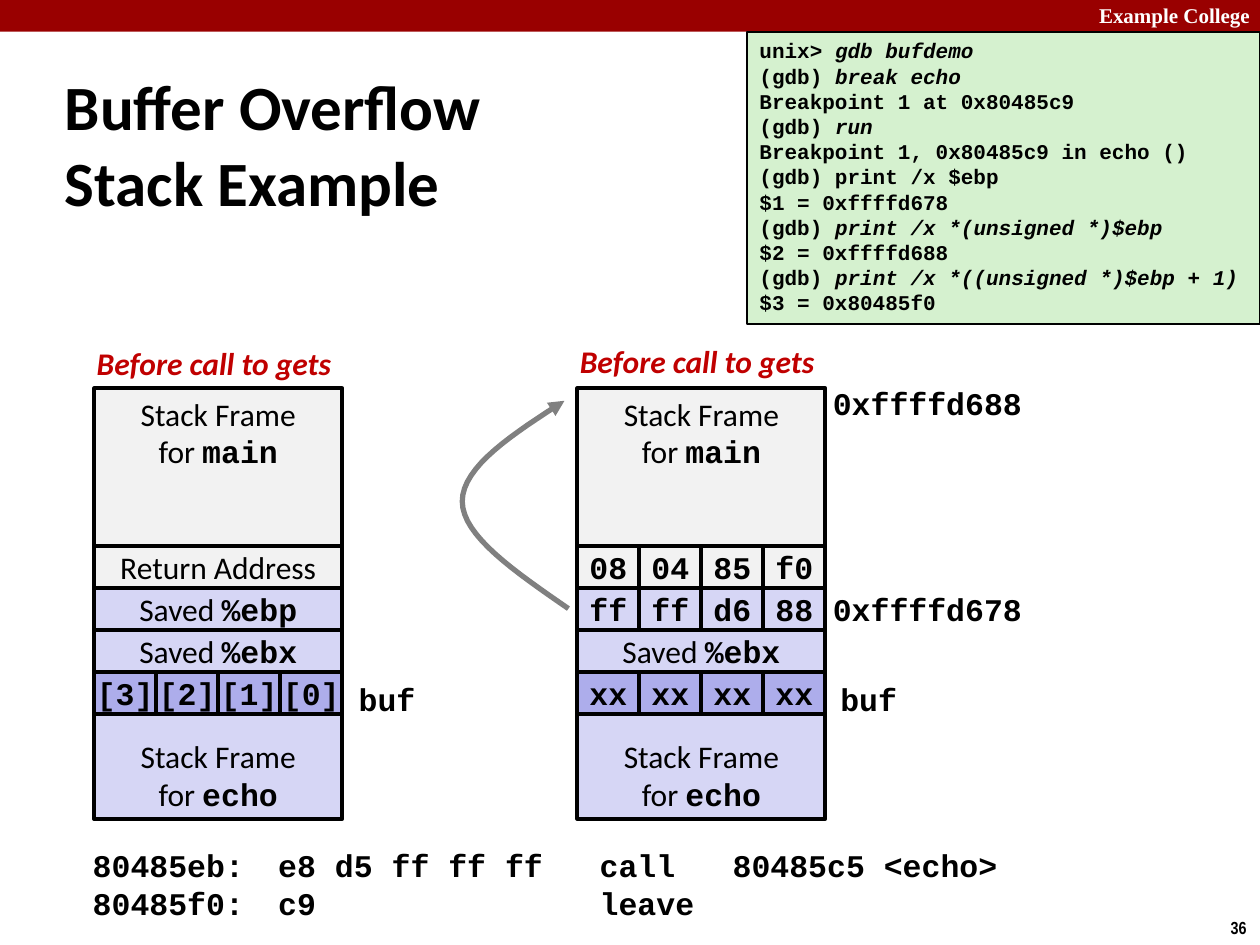
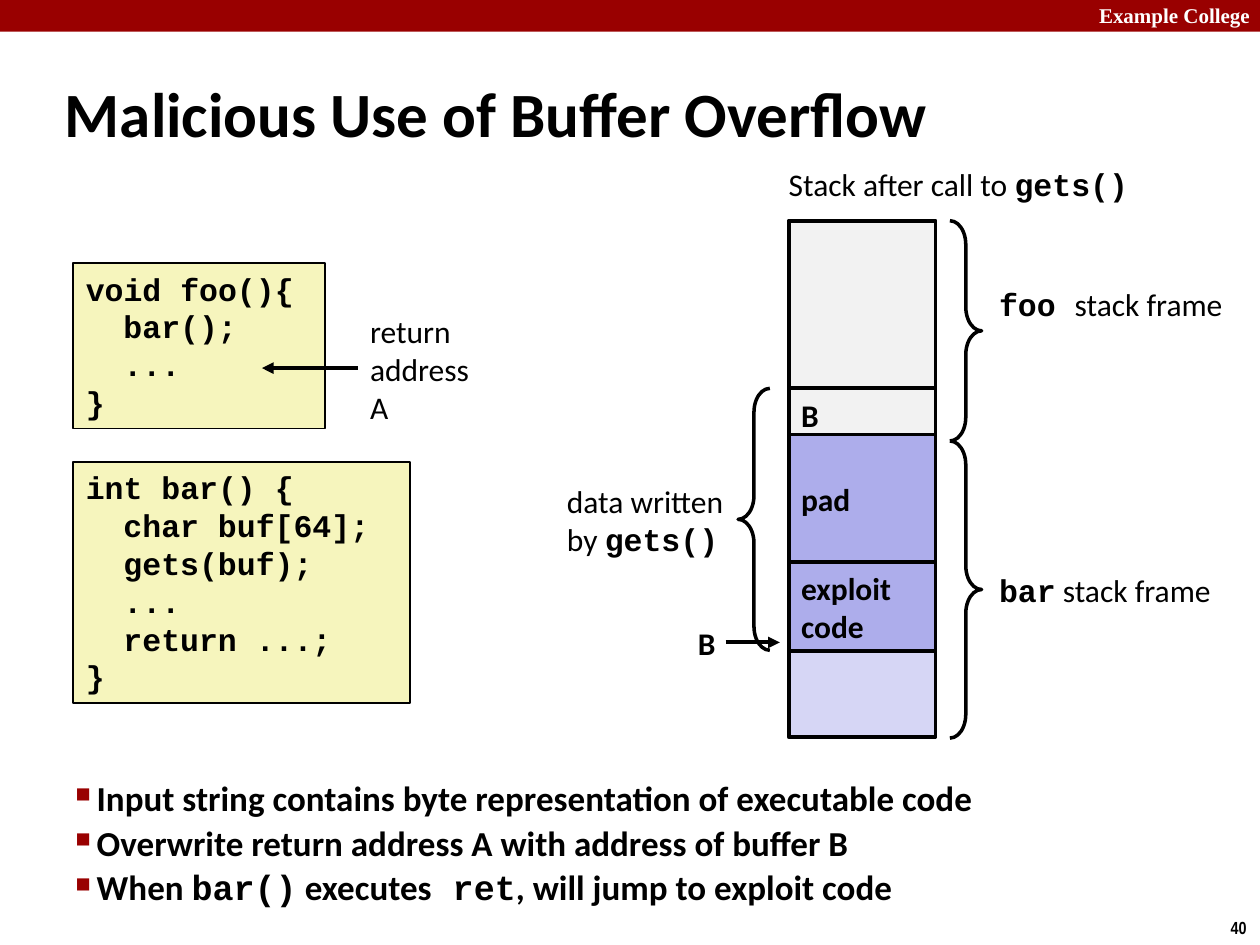
from lxml import etree
from pptx import Presentation
from pptx import util as u
from pptx.dml.color import RGBColor
from pptx.enum import shapes, text
from pptx.oxml import ns

# Shared colours and text styles (font, bold, italic)
RED = RGBColor(0x99, 0x00, 0x00)
LABEL_RED = RGBColor(0xC0, 0x00, 0x00)
WHITE = RGBColor(0xFF, 0xFF, 0xFF)
BLACK = RGBColor(0x00, 0x00, 0x00)
ARROW_GRAY = RGBColor(0x80, 0x80, 0x80)
LIGHT_GRAY = RGBColor(0xF2, 0xF2, 0xF2)
LAVENDER = RGBColor(0xD6, 0xD6, 0xF5)
VIOLET = RGBColor(0xAD, 0xAD, 0xEB)
GREEN = RGBColor(0xD5, 0xF1, 0xCF)
YELLOW = RGBColor(0xF6, 0xF5, 0xBD)

PLAIN = ("Calibri", False, False)
STRONG = ("Calibri", True, False)
STRONG_ITALIC = ("Calibri", True, True)
CODE = ("Courier New", True, False)
CODE_ITALIC = ("Courier New", True, True)
SERIF = ("Times New Roman", True, False)
NARROW = ("Arial Narrow", True, False)

LEFT, CENTER, RIGHT = text.PP_ALIGN.LEFT, text.PP_ALIGN.CENTER, text.PP_ALIGN.RIGHT
TOP, MIDDLE, BOTTOM = text.MSO_ANCHOR.TOP, text.MSO_ANCHOR.MIDDLE, text.MSO_ANCHOR.BOTTOM


def add_box(slide, place, lines="", styles=(PLAIN, CODE), size=18, color=BLACK, fill=None,
            border=0, align=LEFT, anchor=TOP, wrap=False, tabs=()):
    """Add a text box or filled rectangle; backticks switch between the two styles."""
    place = [u.Cm(length) for length in place]
    if fill is None:
        shape = slide.shapes.add_textbox(*place)
    else:
        shape = slide.shapes.add_shape(shapes.MSO_SHAPE.RECTANGLE, *place)
        shape.shadow.inherit = False
        shape.fill.solid()
        shape.fill.fore_color.rgb = fill
        if border:
            shape.line.color.rgb = BLACK
            shape.line.width = u.Pt(border)
        else:
            shape.line.fill.background()
    frame = shape.text_frame
    frame.word_wrap = wrap
    frame.vertical_anchor = anchor
    frame.text = lines.replace("`", "")
    for paragraph, line in zip(frame.paragraphs, lines.split("\n")):
        paragraph.alignment = align
        paragraph.text = ""
        for index, part in enumerate(line.split("`")):
            if part:
                run = paragraph.add_run()
                run.text = part
                run.font.name, run.font.bold, run.font.italic = styles[index % 2]
                run.font.size = u.Pt(size)
                run.font.color.rgb = color
        if tabs:
            properties = paragraph._p.get_or_add_pPr()
            tab_list = etree.SubElement(properties, ns.qn("a:tabLst"))
            for stop in tabs:
                etree.SubElement(tab_list, ns.qn("a:tab"), pos=str(u.Cm(stop)), algn="l")
    return shape


def style_arrow(shape, color, width):
    """Colour a line, end it with a triangle and drop its shadow."""
    shape.line.color.rgb = color
    shape.line.width = u.Pt(width)
    etree.SubElement(shape.line._get_or_add_ln(), ns.qn("a:tailEnd"), type="triangle")
    etree.SubElement(shape.element.spPr, ns.qn("a:effectLst"))


presentation = Presentation()
presentation.slide_width, presentation.slide_height = u.Cm(25.4), u.Cm(19.05)

# Band, page number and title of every slide
slides = []
for number, title, title_place in (
    ("36", "Buffer Overflow Stack Example", (1.06, 0.64, 9.8, 4.5)),
    ("40", "Malicious Use of Buffer Overflow", (1.06, 1.47, 23.06, 1.6)),
):
    slide = presentation.slides.add_slide(presentation.slide_layouts[6])
    add_box(slide, (0, 0, 25.4, 0.64), fill=RED)
    add_box(slide, (21.2, -0.08, 4.25, 0.76), "Example College", (SERIF,) * 2, 12, WHITE,
            align=RIGHT, wrap=True)
    add_box(slide, (24.56, 18.36, 0.86, 0.69), number, (NARROW,) * 2, 10)
    add_box(slide, title_place, title, (STRONG,) * 2, 36, anchor=MIDDLE, wrap=True)
    slides.append(slide)
stack_slide, attack_slide = slides

# Slide 1: debugger session
session = """unix> `gdb bufdemo
(gdb) `break echo
Breakpoint 1 at 0x80485c9
(gdb) `run
Breakpoint 1, 0x80485c9 in echo ()
(gdb) print /x $ebp
$1 = 0xffffd678
(gdb) `print /x *(unsigned *)$ebp
$2 = 0xffffd688
(gdb) `print /x *((unsigned *)$ebp + 1)
$3 = 0x80485f0"""
add_box(stack_slide, (15.06, 0.64, 10.34, 5.89), session, (CODE, CODE_ITALIC), 12,
        fill=GREEN, border=1)

# Slide 1: two stacks, from main's frame down to echo's frame
STACK_WIDTH, ROW_HEIGHT = 5, 0.85
STACK_TOP, ROWS_TOP, ECHO_TOP = 7.83, 11, 12.7
ROW_FILLS = (LIGHT_GRAY, LAVENDER, LAVENDER, VIOLET)
stacks = (
    (1.9, 6.81, 6.98, (["Return Address"], ["Saved `%ebp"], ["Saved `%ebx"],
                       ["`[3]", "`[2]", "`[1]", "`[0]"])),
    (11.64, 6.78, 16.69, (["`08", "`04", "`85", "`f0"], ["`ff", "`ff", "`d6", "`88"],
                          ["Saved `%ebx"], ["`xx"] * 4)),
)
for left, label_top, buf_left, rows in stacks:
    add_box(stack_slide, (left - 0.2, label_top, 5.31, 1.02), "Before call to gets",
            (STRONG_ITALIC,) * 2, color=LABEL_RED)
    add_box(stack_slide, (left, STACK_TOP, STACK_WIDTH, ROWS_TOP - STACK_TOP),
            "Stack Frame\nfor `main", fill=LIGHT_GRAY, border=2.25, align=CENTER)
    add_box(stack_slide, (left, ECHO_TOP, STACK_WIDTH, 3.81), "Stack Frame\nfor `echo",
            fill=LAVENDER, border=2.25, align=CENTER, anchor=BOTTOM)
    for row_index, (cells, fill) in enumerate(zip(rows, ROW_FILLS)):
        cell_width = STACK_WIDTH / len(cells)
        for column, cell in enumerate(cells):
            place = (left + column * cell_width, ROWS_TOP + row_index * ROW_HEIGHT,
                     cell_width, ROW_HEIGHT)
            add_box(stack_slide, place, cell, fill=fill, border=2.25, align=CENTER,
                    anchor=MIDDLE)
    add_box(stack_slide, (buf_left, 13.59, 1.65, 1.02), "`buf")

# Slide 1: addresses and the curved arrow from saved %ebp to the caller's frame
for top, address in ((7.62, "0xffffd688"), (11.76, "0xffffd678")):
    add_box(stack_slide, (16.54, top, 4.34, 1.02), "`" + address)

curves = (
    ((11.46, 12.27), (10.39, 11.53), (9.32, 10.8), (9.32, 10.11)),
    ((9.32, 10.11), (9.32, 9.4), (10.36, 8.74), (11.38, 8.08)),
)
STEPS = 16
points = []
for curve in curves:
    for step in range(1, STEPS + 1):
        t = step / STEPS
        weights = ((1 - t) ** 3, 3 * t * (1 - t) ** 2, 3 * t ** 2 * (1 - t), t ** 3)
        points.append(tuple(u.Cm(sum(w * point[axis] for w, point in zip(weights, curve)))
                            for axis in (0, 1)))
builder = stack_slide.shapes.build_freeform(*(u.Cm(value) for value in curves[0][0]))
builder.add_line_segments(points, close=False)
curved_arrow = builder.convert_to_shape()
curved_arrow.fill.background()
style_arrow(curved_arrow, ARROW_GRAY, 3)

# Slide 1: disassembly
add_box(stack_slide, (1.62, 16.94, 22.3, 1.8),
        "80485eb:\te8 d5 ff ff ff\tcall\t80485c5 <echo>\n80485f0:\tc9\tleave",
        (CODE,) * 2, wrap=True, tabs=(3.74, 10.22, 12.9))

# Slide 2: source code
bar_code = "int bar() {\n\tchar buf[64];\n\tgets(buf);\n\t...\n\treturn ...;\n}"
foo_code = "void foo(){\n\tbar();\n\t...\n}"
for place, code in (((1.48, 9.32, 6.78, 4.85), bar_code),
                    ((1.48, 5.31, 5.08, 3.33), foo_code)):
    add_box(attack_slide, place, code, (CODE,) * 2, fill=YELLOW, border=1, wrap=True,
            tabs=(0.76,))

# Slide 2: stack, each block as top, bottom, text, fill
for top, bottom, label, fill in (
    (7.83, 8.89, "B", LIGHT_GRAY),
    (4.45, 7.83, "", LIGHT_GRAY),
    (13.13, 14.86, "", LAVENDER),
    (11.33, 13.13, "exploit\ncode", VIOLET),
    (8.76, 11.34, "pad", VIOLET),
):
    add_box(attack_slide, (15.9, top, 2.96, bottom - top), label, (STRONG,) * 2,
            fill=fill, border=2.25, anchor=MIDDLE, wrap=True)

# Slide 2: labels
for place, label in (
    ((15.65, 3.2, 7.44, 1.02), "Stack after call to `gets()"),
    ((7.21, 6.15, 2.54, 2.57), "return\naddress\nA"),
    ((19.89, 5.61, 5.05, 1.02), "`foo `stack frame"),
    ((19.89, 11.38, 4.83, 1.02), "`bar` stack frame"),
    ((11.18, 9.58, 3.81, 1.8), "data written\nby `gets()"),
):
    add_box(attack_slide, place, label, anchor=MIDDLE)
add_box(attack_slide, (13.82, 12.45, 0.86, 1.02), "B", (STRONG,) * 2, anchor=MIDDLE)

# Slide 2: straight arrows
for start, end, y in ((7.21, 5.28, 7.42), (14.63, 15.72, 12.95)):
    arrow = attack_slide.shapes.add_connector(
        shapes.MSO_CONNECTOR.STRAIGHT, u.Cm(start), u.Cm(y), u.Cm(end), u.Cm(y))
    style_arrow(arrow, BLACK, 2.25)

# Slide 2: braces
for preset, left, top, height in (
    (shapes.MSO_SHAPE.RIGHT_BRACE, 19.15, 4.45, 4.44),
    (shapes.MSO_SHAPE.RIGHT_BRACE, 19.15, 8.89, 5.99),
    (shapes.MSO_SHAPE.LEFT_BRACE, 14.88, 7.83, 5.28),
):
    brace = attack_slide.shapes.add_shape(preset, u.Cm(left), u.Cm(top), u.Cm(0.64),
                                          u.Cm(height))
    brace.adjustments[0] = 0.75
    brace.shadow.inherit = False
    brace.fill.background()
    brace.line.color.rgb = BLACK
    brace.line.width = u.Pt(2)

# Slide 2: bullets
bullets = add_box(attack_slide, (1.27, 15.44, 22.94, 3.18),
                  "Input string contains byte representation of executable code\n"
                  "Overwrite return address A with address of buffer B\n"
                  "When `bar()` executes` ret`, will jump to exploit code",
                  (STRONG, CODE), 20, anchor=MIDDLE, wrap=True)
for paragraph in bullets.text_frame.paragraphs:
    paragraph.line_spacing = 0.9
    paragraph.space_before = u.Pt(4)
    properties = paragraph._p.get_or_add_pPr()
    properties.set("marL", str(u.Cm(0.43)))
    properties.set("indent", str(-u.Cm(0.43)))
    bullet_color = etree.SubElement(properties, ns.qn("a:buClr"))
    etree.SubElement(bullet_color, ns.qn("a:srgbClr"), val=str(RED))
    etree.SubElement(properties, ns.qn("a:buSzPct"), val="60000")
    etree.SubElement(properties, ns.qn("a:buChar"), char="■")

presentation.save("out.pptx")
